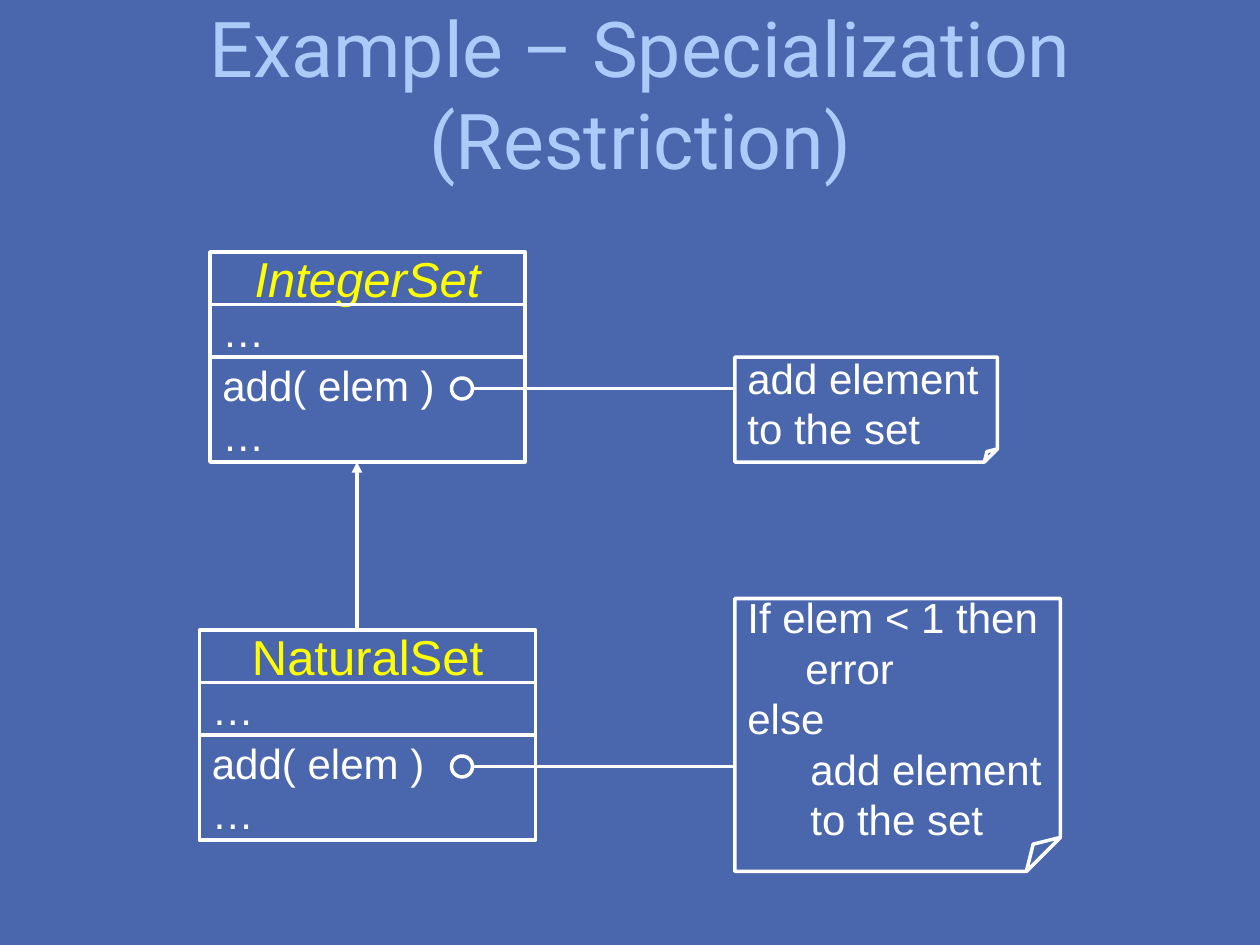
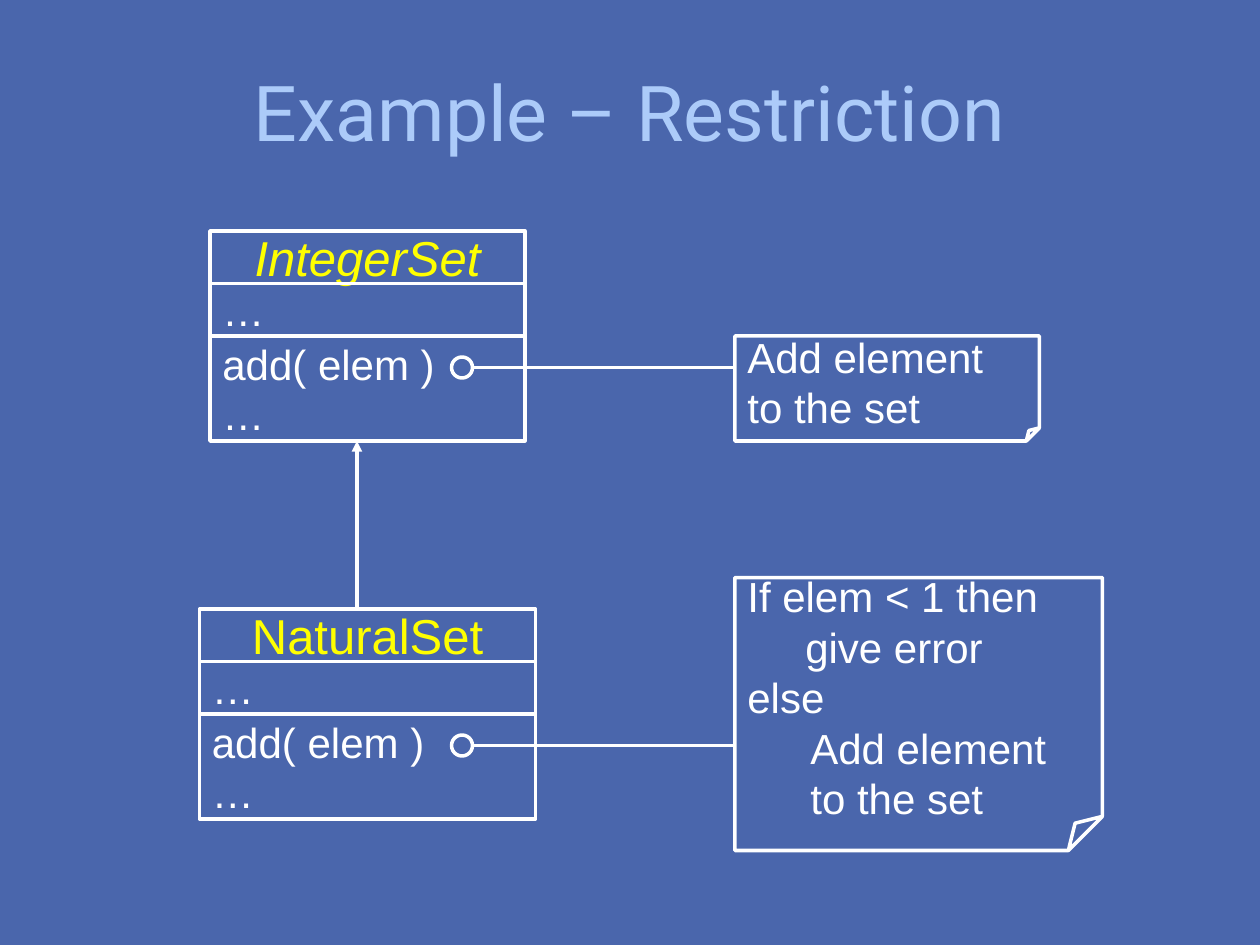
"""Builds two UML slides showing how NaturalSet restricts IntegerSet."""
import lxml.etree
import pptx
import pptx.dml.color
import pptx.enum.shapes
import pptx.enum.text
import pptx.oxml.ns
import pptx.util

BLUE, PALE, WHITE, YELLOW = "4A66AC", "ACCBF9", "FFFFFF", "FFFF00"
SHAPE = pptx.enum.shapes.MSO_SHAPE
ALIGN = pptx.enum.text.PP_ALIGN
MIDDLE = pptx.enum.text.MSO_ANCHOR.MIDDLE
NO_FIT = pptx.enum.text.MSO_AUTO_SIZE.NONE
qn = pptx.oxml.ns.qn

deck = pptx.Presentation()
deck.slide_width = pptx.util.Inches(10)
deck.slide_height = pptx.util.Inches(7.5)
UNIT = deck.slide_width // 120


def colour(code):
    return pptx.dml.color.RGBColor.from_string(code)


def draw(page, kind, left, top, width, height, lines=(), size=24, ink=WHITE,
         italic=False, align=ALIGN.LEFT, wrap=False):
    """Outline a shape on the 120 by 90 grid and write (text, indent) lines."""
    box = page.shapes.add_shape(kind, *(UNIT * n for n in (left, top, width, height)))
    box.shadow.inherit = False
    box.fill.background()
    box.line.color.rgb = colour(WHITE)
    box.line.width = pptx.util.Pt(2)
    frame = box.text_frame
    frame.word_wrap = wrap
    frame.vertical_anchor = MIDDLE
    for number, (text, indent) in enumerate(lines):
        para = frame.add_paragraph() if number else frame.paragraphs[0]
        para.alignment = align
        if indent:
            margins = para._p.get_or_add_pPr()
            margins.set("marL", str(pptx.util.Inches(indent)))
            margins.set("indent", "0")
        span = para.add_run()
        span.text = text
        span.font.name = "Arial"
        span.font.size = pptx.util.Pt(size)
        span.font.italic = italic
        span.font.color.rgb = colour(ink)
    return box


background = deck.slide_master.background.fill
background.solid()
background.fore_color.rgb = colour(BLUE)

CLASSES = [("IntegerSet", True, 20, 0, 30), ("NaturalSet", False, 19, 36, 32)]
LINKS = [(34, 36, 34, 20, True), (45, 13, 70, 13, False), (45, 49, 70, 49, False)]
SLIDES = [
    ("Example – Specialization (Restriction)", (0.5, 0.3, 9.17, 0.87), 24, 25, 31,
     "add element to the set", "error"),
    ("Example – Restriction", (0.33, 0.25, 9.34, 1.25), 22, 29, 35,
     "Add element to the set", "give error"),
]

for heading, place, top, base_width, rule_width, action, failure in SLIDES:
    page = deck.slides.add_slide(deck.slide_layouts[5])
    title = page.shapes.title
    title.left, title.top, title.width, title.height = map(pptx.util.Inches, place)
    title.text_frame.auto_size = NO_FIT
    title.text_frame.vertical_anchor = MIDDLE
    para = title.text_frame.paragraphs[0]
    para.alignment = ALIGN.CENTER
    span = para.add_run()
    span.text = heading
    span.font.name = "Roboto"
    span.font.size = pptx.util.Pt(44)
    span.font.color.rgb = colour(PALE)

    for name, abstract, left, row, width in CLASSES:
        draw(page, SHAPE.RECTANGLE, left, top + row, width, 5, [(name, 0)],
             size=28, ink=YELLOW, italic=abstract, align=ALIGN.CENTER)
        draw(page, SHAPE.RECTANGLE, left, top + row + 5, width, 5, [("…", 0)])
        draw(page, SHAPE.RECTANGLE, left, top + row + 10, width, 10,
             [("add( elem )", 0), ("…", 0)])
        draw(page, SHAPE.OVAL, 43, top + row + 12, 2, 2)

    rule = [("If elem < 1 then", 0), (failure, 0.46), ("else", 0), (action, 0.5)]
    for row, width, height, lines in [(10, base_width, 10, [(action, 0)]),
                                      (33, rule_width, 26, rule)]:
        note = draw(page, SHAPE.FOLDED_CORNER, 70, top + row, width, height, lines, wrap=True)
        guides = note._element.spPr.find(qn("a:prstGeom")).get_or_add_avLst()
        lxml.etree.SubElement(guides, qn("a:gd"), name="adj", fmla="val 12500")

    for x1, y1, x2, y2, arrow in LINKS:
        link = page.shapes.add_connector(
            pptx.enum.shapes.MSO_CONNECTOR.STRAIGHT,
            UNIT * x1, UNIT * (top + y1), UNIT * x2, UNIT * (top + y2))
        link.line.color.rgb = colour(WHITE)
        link.line.width = pptx.util.Pt(2)
        outline = link._element.spPr
        if arrow:
            lxml.etree.SubElement(outline.find(qn("a:ln")), qn("a:tailEnd"), type="triangle")
        lxml.etree.SubElement(outline, qn("a:effectLst"))

deck.save("out.pptx")
